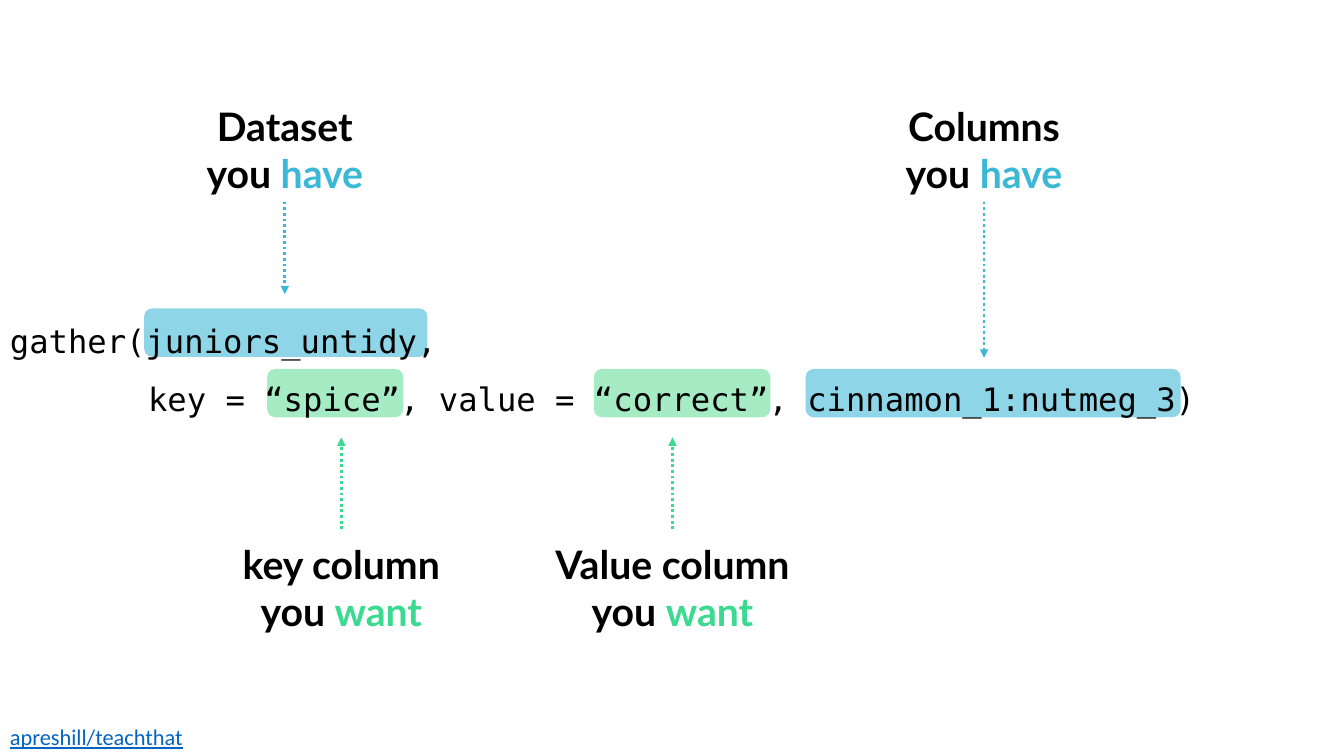
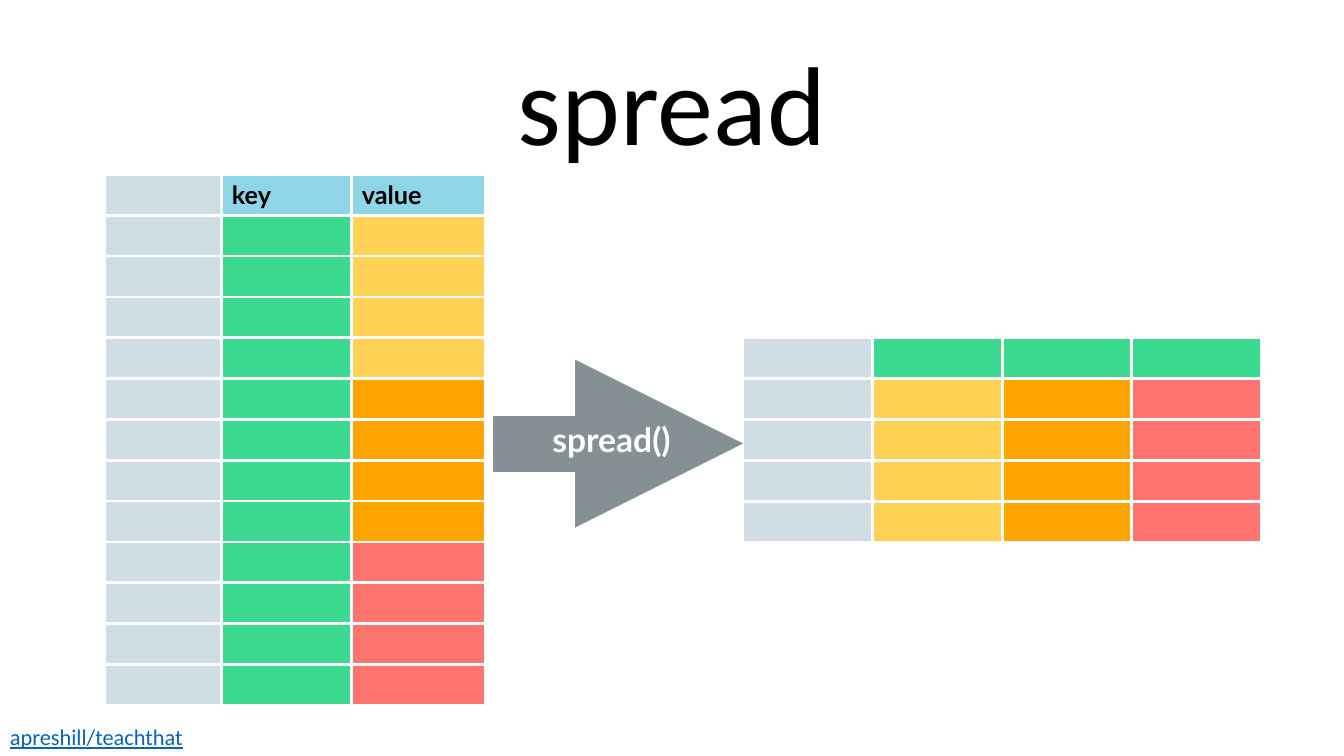
from lxml import etree
from pptx import Presentation
from pptx.dml.color import RGBColor
from pptx.enum.dml import MSO_LINE_DASH_STYLE as Dash
from pptx.enum.shapes import MSO_CONNECTOR as Connector, MSO_SHAPE as Shape
from pptx.enum.text import MSO_ANCHOR as Anchor, PP_ALIGN as Align
from pptx.oxml.ns import qn
from pptx.util import Pt

PX = 9144  # 100 px to the inch
BLACK, WHITE, LINK = "000000", "FFFFFF", "0563C1"
BLUE, PALE_BLUE = "3BB8D6", "8ED5E8"
GREEN, PALE_GREEN = "3BDA90", "A5ECC5"
GREY, SLATE = "CFDCE1", "859094"
YELLOW, ORANGE, RED = "FFD155", "FFA500", "FF746F"
HEADING, BODY, MONO = "Lato", "Calibri", "DejaVu Sans Mono"

FOOTER = "apreshill/teachthat"

# Slide 1: left, top, width, fill
HIGHLIGHT_HEIGHT = 48
HIGHLIGHTS = [
    (143, 306, 281, PALE_BLUE),
    (799, 366, 372, PALE_BLUE),
    (265, 366, 135, PALE_GREEN),
    (589, 366, 175, PALE_GREEN),
]
# heading, last word, colour, box, arrow start, arrow end
LABELS = [
    ("key column", "want", GREEN, (211, 538, 255, 90), 525, 434),
    ("Value column", "want", GREEN, (534, 538, 266, 90), 525, 434),
    ("Dataset", "have", BLUE, (180, 96, 205, 104), 200, 292),
    ("Columns", "have", BLUE, (801, 96, 350, 104), 200, 355),
]
# line, left indent
CODE = [
    ("gather(juniors_untidy,", 0),
    ("key = “spice”, value = “correct”, cinnamon_1:nutmeg_3)", 137),
]

# Slide 2: each cell is (text, fill)
VALUES = [YELLOW, ORANGE, RED]
RECORDS_PER_KEY = 4
LONG = [[("", GREY), ("key", PALE_BLUE), ("value", PALE_BLUE)]] + [
    [("", GREY), ("", GREEN), ("", value)]
    for value in VALUES for _ in range(RECORDS_PER_KEY)
]
WIDE = [[("", GREY)] + [("", GREEN)] * len(VALUES)] + [
    [("", GREY)] + [("", value) for value in VALUES]
] * RECORDS_PER_KEY


def px(length):
    return round(length * PX)


def rgb(colour):
    return RGBColor.from_string(colour)


def add_run(paragraph, text, size, font, colour, bold=False, underline=False):
    run = paragraph.add_run()
    run.text = text
    run.font.size = Pt(size)
    run.font.name = font
    run.font.color.rgb = rgb(colour)
    run.font.bold = bold
    run.font.underline = underline


def add_text(slide, box, lines, align=Align.LEFT, anchor=Anchor.TOP, wrap=False):
    """Add a text box; each line is a list of add_run argument tuples."""
    text_box = slide.shapes.add_textbox(*map(px, box))
    frame = text_box.text_frame
    frame.word_wrap = wrap
    frame.vertical_anchor = anchor
    for number, runs in enumerate(lines):
        paragraph = frame.add_paragraph() if number else frame.paragraphs[0]
        paragraph.alignment = align
        for run in runs:
            add_run(paragraph, *run)
    return text_box


def add_arrow(slide, start, end, colour, width, dash=None):
    arrow = slide.shapes.add_connector(
        Connector.STRAIGHT, *map(px, (*start, *end)))
    arrow.line.color.rgb = rgb(colour)
    arrow.line.width = Pt(width)
    if dash:
        arrow.line.dash_style = dash
    properties = arrow.line._get_or_add_ln()
    etree.SubElement(properties, qn("a:tailEnd"), type="triangle")
    etree.SubElement(arrow._element.spPr, qn("a:effectLst"))
    return arrow


def add_borders(cell, colour, width):
    properties = cell._tc.get_or_add_tcPr()
    for side in ("a:lnL", "a:lnR", "a:lnT", "a:lnB"):
        border = etree.SubElement(properties, qn(side), w=str(Pt(width)))
        fill = etree.SubElement(border, qn("a:solidFill"))
        etree.SubElement(fill, qn("a:srgbClr"), val=colour)


def add_grid(slide, left, top, widths, height, rows):
    table = slide.shapes.add_table(
        len(rows), len(widths), px(left), px(top), px(sum(widths)), px(height)).table
    table.first_row = table.horz_banding = False
    for column, width in zip(table.columns, widths):
        column.width = px(width)
    for row, cells in zip(table.rows, rows):
        row.height = px(height / len(rows))
        for cell, (text, fill) in zip(row.cells, cells):
            add_borders(cell, WHITE, 2.25)
            cell.fill.solid()
            cell.fill.fore_color.rgb = rgb(fill)
            if text:
                add_run(cell.text_frame.paragraphs[0], text, 18, HEADING, BLACK, True)


def add_slide(deck):
    """Add a blank slide with the shared footer."""
    slide = deck.slides.add_slide(deck.slide_layouts[6])
    add_text(slide, (0, 713, 193, 37), [[(FOOTER, 16, BODY, LINK, False, True)]])
    return slide


def build_gather(deck):
    slide = add_slide(deck)
    for left, top, width, fill in HIGHLIGHTS:
        highlight = slide.shapes.add_shape(
            Shape.ROUNDED_RECTANGLE, *map(px, (left, top, width, HIGHLIGHT_HEIGHT)))
        highlight.shadow.inherit = False
        highlight.fill.solid()
        highlight.fill.fore_color.rgb = rgb(fill)
        highlight.line.fill.background()

    for heading, word, colour, box, start, end in LABELS:
        style = (28, HEADING)
        label = add_text(
            slide, box,
            [[(heading, *style, BLACK, True)],
             [("you ", *style, BLACK, True), (word, *style, colour, True)]],
            Align.CENTER, Anchor.MIDDLE, True)
        left, top, width, height = box
        middle = left + width / 2
        arrow = add_arrow(slide, (middle, start), (middle, end), colour, 2,
                          Dash.ROUND_DOT)
        if start == top + height:
            arrow.begin_connect(label, 2)

    code = add_text(slide, (0, 295, 1333, 120),
                    [[(line, 23, MONO, BLACK)] for line, _ in CODE], wrap=True)
    for paragraph, (_, indent) in zip(code.text_frame.paragraphs, CODE):
        paragraph.line_spacing = 1.5
        paragraph._p.get_or_add_pPr().set("marL", str(px(indent)))


def build_spread(deck):
    slide = add_slide(deck)
    add_grid(slide, 104, 173, [116, 129, 132], 527, LONG)
    add_grid(slide, 737, 335, [128.5] * 4, 203, WIDE)
    add_arrow(slide, (489, 440), (737, 440), SLATE, 40)
    add_text(slide, (538, 411, 143, 50), [[("spread()", 24, HEADING, WHITE, True)]])
    add_text(slide, (502, 28, 329, 145), [[("spread", 80, BODY, BLACK)]], Align.CENTER)


def main():
    deck = Presentation()
    deck.slide_width, deck.slide_height = px(1333), px(750)
    build_gather(deck)
    build_spread(deck)
    deck.save("out.pptx")


if __name__ == "__main__":
    main()
